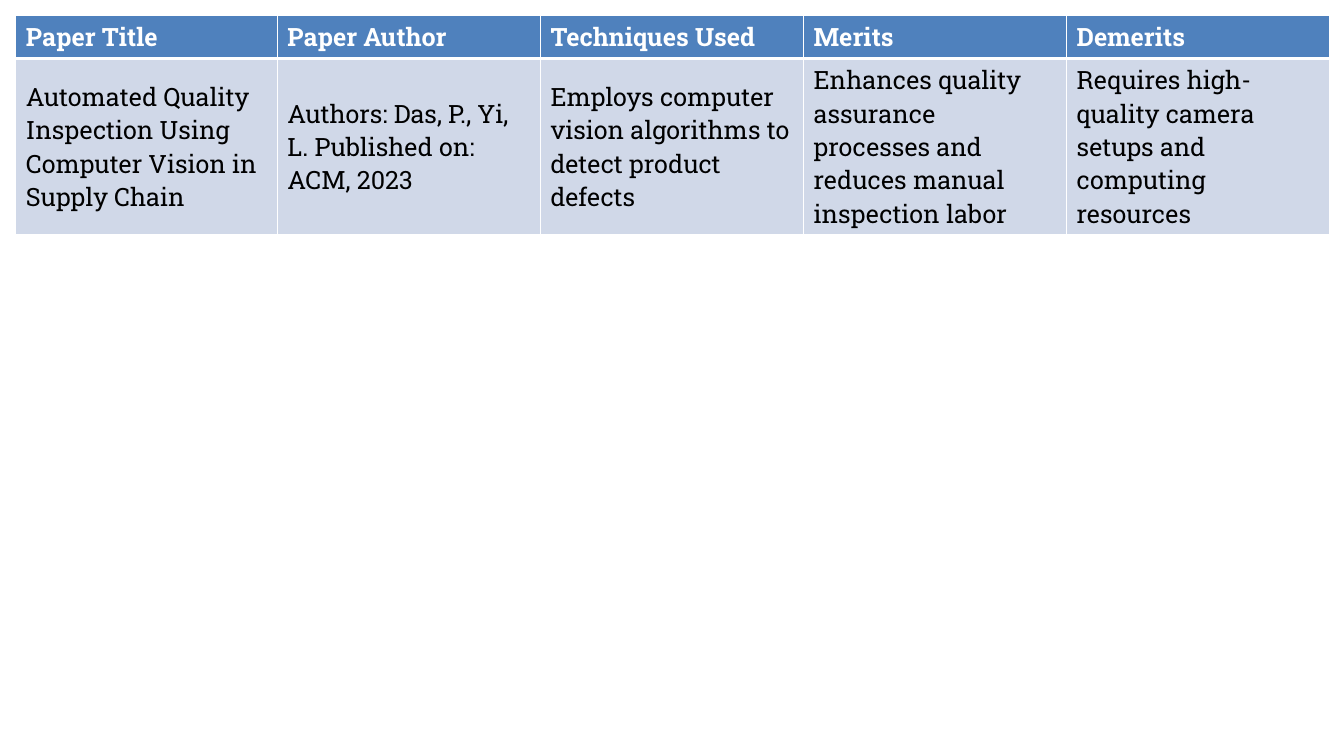
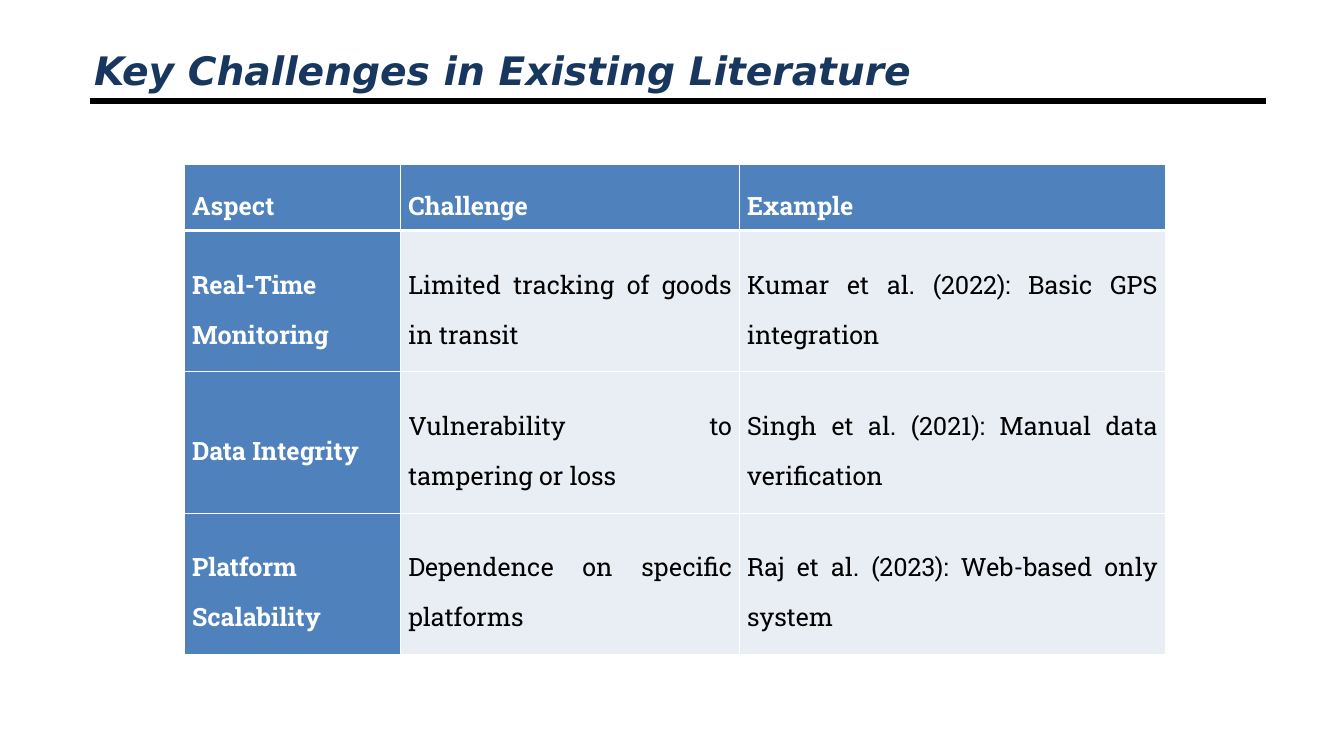
from dataclasses import dataclass

from lxml.etree import SubElement
from pptx import Presentation
from pptx.dml.color import RGBColor
from pptx.enum.shapes import MSO_CONNECTOR
from pptx.enum.text import MSO_ANCHOR, PP_ALIGN
from pptx.oxml.ns import qn
from pptx.util import Cm, Pt


@dataclass(frozen=True)
class Theme:
    heading_font: str = "DejaVu Sans"
    body_font: str = "Roboto Slab"
    heading_size: int = 28
    body_size: int = 18
    rule_width: float = 4.5
    border_width: int = 1
    header_border_width: int = 3
    heading: str = "17375E"
    rule: str = "000000"
    text: str = "000000"
    header_text: str = "FFFFFF"
    header_fill: str = "4F81BD"
    border: str = "FFFFFF"


@dataclass(frozen=True)
class TableFormat:
    body_fill: str
    cell: dict
    paragraph: dict
    header_anchor: MSO_ANCHOR = MSO_ANCHOR.MIDDLE
    header_column: bool = False


COMPARISON = TableFormat(
    body_fill="D0D8E8",
    cell={},
    paragraph={},
    header_anchor=MSO_ANCHOR.TOP,
)
CHALLENGES = TableFormat(
    body_fill="E9EDF4",
    cell={
        "margin_left": Cm(0.19),
        "margin_right": Cm(0.19),
        "margin_top": 0,
        "margin_bottom": 0,
    },
    paragraph={"alignment": PP_ALIGN.JUSTIFY, "line_spacing": 1.5},
    header_column=True,
)
NO_BREAK_SPACE = chr(160)


def apply_format(target, values):
    for name, value in values.items():
        setattr(target, name, value)


class Deck:
    def __init__(self, theme):
        self.theme = theme
        self.presentation = Presentation()
        self.presentation.slide_width = Cm(33.87)
        self.presentation.slide_height = Cm(19.05)
        self.slide = None

    def add_slide(self):
        """Start a slide with the rule that all slides share."""
        blank_layout = self.presentation.slide_layouts[6]
        self.slide = self.presentation.slides.add_slide(blank_layout)
        self.add_rule()

    def add_rule(self):
        rule = self.slide.shapes.add_connector(
            MSO_CONNECTOR.STRAIGHT, Cm(2.26), Cm(2.54), Cm(31.9), Cm(2.54)
        )
        rule.line.width = Pt(self.theme.rule_width)
        rule.line.color.rgb = RGBColor.from_string(self.theme.rule)
        SubElement(rule._element.spPr, qn("a:effectLst"))

    def style_font(self, font, color, **values):
        apply_format(font, values)
        font.color.rgb = RGBColor.from_string(color)

    def add_title(self, text):
        theme = self.theme
        box = self.slide.shapes.add_textbox(Cm(2.12), Cm(1.08), Cm(29.64), Cm(1.35))
        frame = box.text_frame
        apply_format(frame, {
            "word_wrap": True,
            "vertical_anchor": MSO_ANCHOR.MIDDLE,
            "margin_top": 0,
            "margin_bottom": 0,
        })
        run = frame.paragraphs[0].add_run()
        run.text = text
        self.style_font(run.font, theme.heading, name=theme.heading_font,
                        size=Pt(theme.heading_size), bold=True, italic=True)

    def add_borders(self, cell, row_index):
        """Draw thin borders, with a heavy one between the header and the body."""
        theme = self.theme
        thin, heavy = theme.border_width, theme.header_border_width
        widths = {
            "lnL": thin,
            "lnR": thin,
            "lnT": heavy if row_index == 1 else thin,
            "lnB": heavy if row_index == 0 else thin,
        }
        properties = cell._tc.get_or_add_tcPr()
        for tag, width in widths.items():
            line = SubElement(properties, qn(f"a:{tag}"), w=str(Pt(width)))
            fill = SubElement(line, qn("a:solidFill"))
            SubElement(fill, qn("a:srgbClr"), val=theme.border)

    def add_table(self, left, top, widths, heights, rows, table_format):
        theme = self.theme
        table = self.slide.shapes.add_table(
            len(rows), len(widths), Cm(left), Cm(top), Cm(sum(widths)), Cm(sum(heights))
        ).table
        table.horz_banding = False
        for column, width in zip(table.columns, widths):
            column.width = Cm(width)
        for row, height in zip(table.rows, heights):
            row.height = Cm(height)

        for row_index, texts in enumerate(rows):
            for column_index, text in enumerate(texts):
                in_header_row = row_index == 0
                is_header = in_header_row or (table_format.header_column and column_index == 0)
                cell = table.cell(row_index, column_index)
                apply_format(cell, table_format.cell)
                cell.vertical_anchor = (
                    table_format.header_anchor if in_header_row else MSO_ANCHOR.MIDDLE
                )
                self.add_borders(cell, row_index)
                cell.fill.solid()
                cell.fill.fore_color.rgb = RGBColor.from_string(
                    theme.header_fill if is_header else table_format.body_fill
                )
                paragraph = cell.text_frame.paragraphs[0]
                apply_format(paragraph, table_format.paragraph)
                run = paragraph.add_run()
                run.text = text
                self.style_font(run.font, theme.header_text if is_header else theme.text,
                                name=theme.body_font, size=Pt(theme.body_size), bold=is_header)


def add_paper_slide(deck):
    deck.add_slide()
    rows = [
        ["Paper Title", "Paper Author", "Techniques Used", "Merits", "Demerits"],
        [
            "Automated Quality Inspection Using Computer Vision in Supply Chain",
            "Authors: Das, P., Yi, L. Published on: ACM, 2023",
            "Employs computer vision algorithms to detect product defects",
            "Enhances quality assurance processes and reduces manual inspection labor",
            "Requires high-quality camera setups and computing resources",
        ],
    ]
    deck.add_table(0.4, 0.38, [6.59] + [6.63] * 4, [1.08, 4.44], rows, COMPARISON)


def add_challenges_slide(deck):
    deck.add_slide()
    deck.add_title("Key Challenges in Existing Literature")
    rows = [
        ["Aspect", "Challenge", "Example"],
        [
            "Real-Time Monitoring",
            "Limited tracking of goods in transit",
            "Kumar et al. (2022): Basic GPS integration",
        ],
        [
            "Data Integrity",
            f"Vulnerability to tampering{NO_BREAK_SPACE}or loss",
            "Singh et al. (2021): Manual data verification",
        ],
        [
            "Platform Scalability",
            "Dependence on specific platforms",
            "Raj et al. (2023): Web-based only system",
        ],
    ]
    deck.add_table(4.65, 4.15, [5.45, 8.54, 10.73], [1.66] + [3.56] * 3, rows, CHALLENGES)


def main():
    deck = Deck(Theme())
    add_paper_slide(deck)
    add_challenges_slide(deck)
    deck.presentation.save("out.pptx")


if __name__ == "__main__":
    main()
